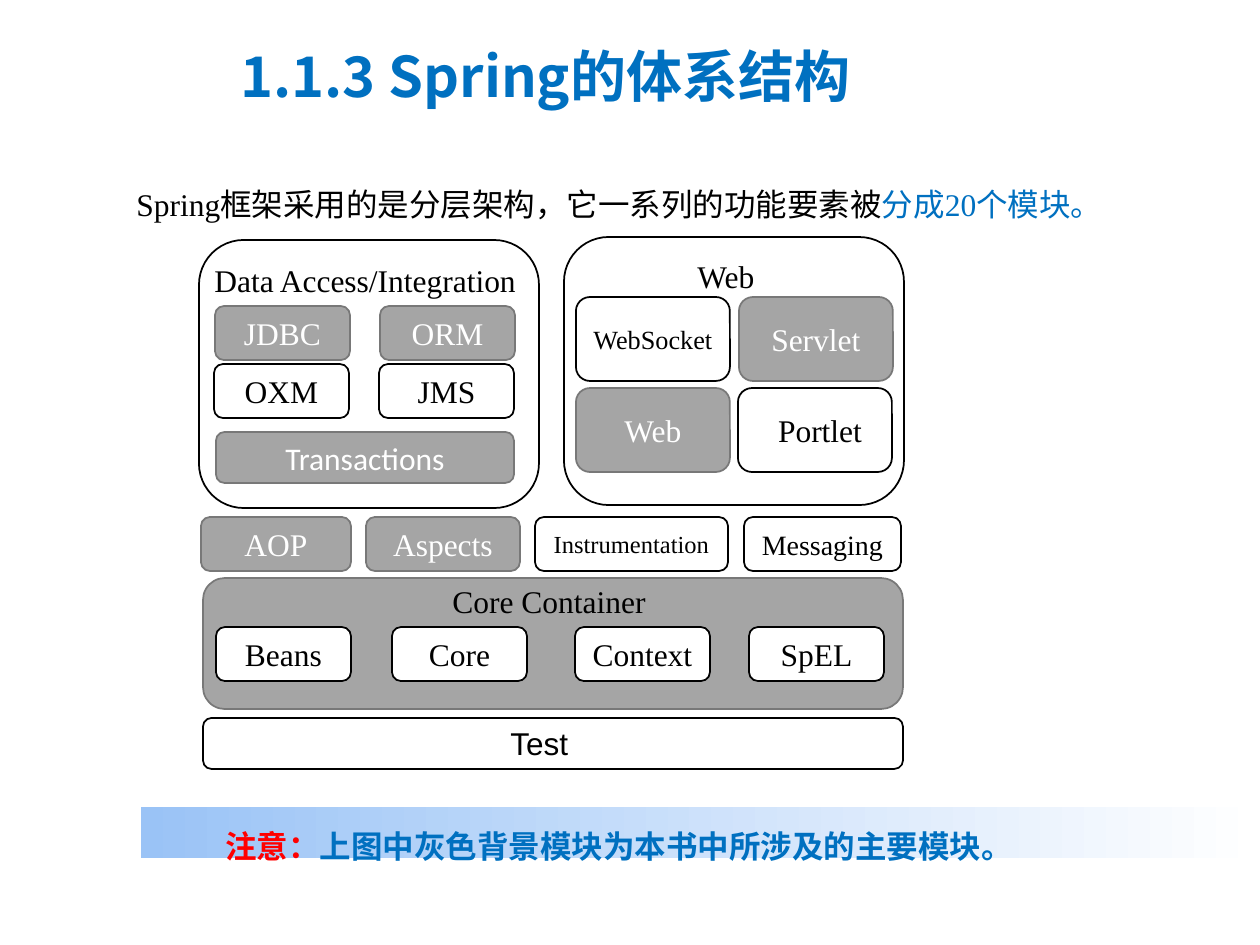
from lxml import etree
from pptx import Presentation
from pptx import util as u
from pptx.dml.color import RGBColor
from pptx.enum import shapes, text
from pptx.oxml.ns import qn

PX = 914400 / 126
BLACK = RGBColor(0x00, 0x00, 0x00)
WHITE = RGBColor(0xFF, 0xFF, 0xFF)
GRAY = RGBColor(0xA5, 0xA5, 0xA5)
DARK_GRAY = RGBColor(0x78, 0x78, 0x78)
BLUE = RGBColor(0x00, 0x70, 0xC0)
RED = RGBColor(0xFF, 0x00, 0x00)
PALE_BLUE = RGBColor(0x9A, 0xC3, 0xF6)
SERIF, SANS, CJK = "Times New Roman", "Arial", "Noto Sans CJK SC"

# Each heading: place, size, bold, line spacing, runs of (words, font, colour)
TITLE = ((228, 43, 775, 107), 32, True, 0.9, [("1.1.3 Spring的体系结构", CJK, BLUE)])
INTRO = ((124, 141, 1061, 88), 18, False, 2.0, [
    ("Spring框架采用的是分层架构，它一系列的功能要素被", SERIF, BLACK),
    ("分成20个模块。", SERIF, BLUE),
])
NOTE = ((213, 821, 878, 50), 18, True, 1.0, [
    ("注意：", SANS, RED),
    ("上图中", SANS, BLUE),
    ("灰色背景模块为本书中所涉及的主要模块。", SERIF, BLUE),
])
NOTE_BAND = (141, 807, 1119, 51)

# Place, whether it is one of the book's main (gray) modules
CONTAINERS = [
    ((203, 578, 700, 131), True),
    ((203, 718, 700, 51), False),
    ((199, 240, 340, 268), False),
    ((564, 237, 340, 268), False),
]
LABELS = [
    ("Core Container", (440, 576, 245, 50), SERIF),
    ("Test", (498, 718, 112, 50), SANS),
    ("Data Access/Integration", (202, 255, 336, 50), SERIF),
    ("Web", (685, 251, 175, 50), SERIF),
]

# Rows of modules: top, height, [(name, left, width, main, options)]
ROWS = [
    (306, 54, [("JDBC", 215, 135, True, {}), ("ORM", 380, 135, True, {})]),
    (364, 54, [("OXM", 214, 135, False, {}), ("JMS", 379, 135, False, {})]),
    (432, 51, [("Transactions", 216, 298, True, {"font": "Calibri"})]),
    (297, 84, [("WebSocket", 576, 154, False, {"size": 15}),
               ("Servlet", 739, 154, True, {})]),
    (388, 84, [("Web", 576, 154, True, {}),
               ("Portlet", 738, 154, False, {"indent": 36})]),
    (517, 54, [("AOP", 201, 150, True, {}), ("Aspects", 366, 154, True, {}),
               ("Instrumentation", 535, 193, False, {"size": 14}),
               ("Messaging", 744, 157, False, {"size": 16})]),
    (627, 54, [("Beans", 216, 135, False, {}), ("Core", 392, 135, False, {}),
               ("Context", 575, 135, False, {}), ("SpEL", 749, 135, False, {})]),
]


def px(length):
    return u.Emu(round(length * PX))


def place(area):
    return [px(length) for length in area]


def style(font, size, name, color, bold=False):
    font.size, font.name, font.bold = u.Pt(size), name, bold
    font.color.rgb = color


def add_text_box(page, area):
    box = page.shapes.add_textbox(*place(area))
    box.text_frame.word_wrap = True
    return box.text_frame.paragraphs[0]


def add_heading(page, area, size, bold, spacing, runs):
    para = add_text_box(page, area)
    para.line_spacing = spacing
    for words, name, color in runs:
        span = para.add_run()
        span.text = words
        style(span.font, size, name, color, bold)
        east_asian = etree.SubElement(span._r.get_or_add_rPr(), qn("a:ea"))
        east_asian.set("typeface", CJK)


def add_label(page, words, area, name):
    para = add_text_box(page, area)
    para.text = words
    style(para.font, 18, name, BLACK)


def add_panel(page, area, main):
    panel = page.shapes.add_shape(shapes.MSO_SHAPE.ROUNDED_RECTANGLE, *place(area))
    panel.shadow.inherit = False
    panel.fill.solid()
    panel.fill.fore_color.rgb = GRAY if main else WHITE
    panel.line.color.rgb = DARK_GRAY if main else BLACK
    panel.line.width = u.Pt(1)
    return panel


def add_module(page, words, area, main, size=18, font=SERIF, indent=None):
    """Draw a module; its name is centred unless a left indent is given."""
    frame = add_panel(page, area, main).text_frame
    frame.word_wrap = True
    frame.vertical_anchor = text.MSO_ANCHOR.MIDDLE
    para = frame.paragraphs[0]
    para.text = words
    para.alignment = text.PP_ALIGN.CENTER
    if indent is not None:
        para.alignment = text.PP_ALIGN.LEFT
        frame.margin_left = px(indent)
    style(para.font, size, font, WHITE if main else BLACK)


def add_note_band(page):
    band = page.shapes.add_shape(shapes.MSO_SHAPE.RECTANGLE, *place(NOTE_BAND))
    band.shadow.inherit = False
    band.line.fill.background()
    band.fill.gradient()
    band.fill.gradient_angle = 0
    for stop, color in zip(band.fill.gradient_stops, (PALE_BLUE, WHITE)):
        stop.color.rgb = color


def main():
    deck = Presentation()
    deck.slide_width, deck.slide_height = px(1260), px(945)
    page = deck.slides.add_slide(deck.slide_layouts[6])
    add_heading(page, *TITLE)
    add_heading(page, *INTRO)
    for area, is_main in CONTAINERS:
        add_panel(page, area, is_main)
    for top, height, modules in ROWS:
        for name, left, width, is_main, options in modules:
            add_module(page, name, (left, top, width, height), is_main, **options)
    for label in LABELS:
        add_label(page, *label)
    add_note_band(page)
    add_heading(page, *NOTE)
    deck.save("out.pptx")


if __name__ == "__main__":
    main()
